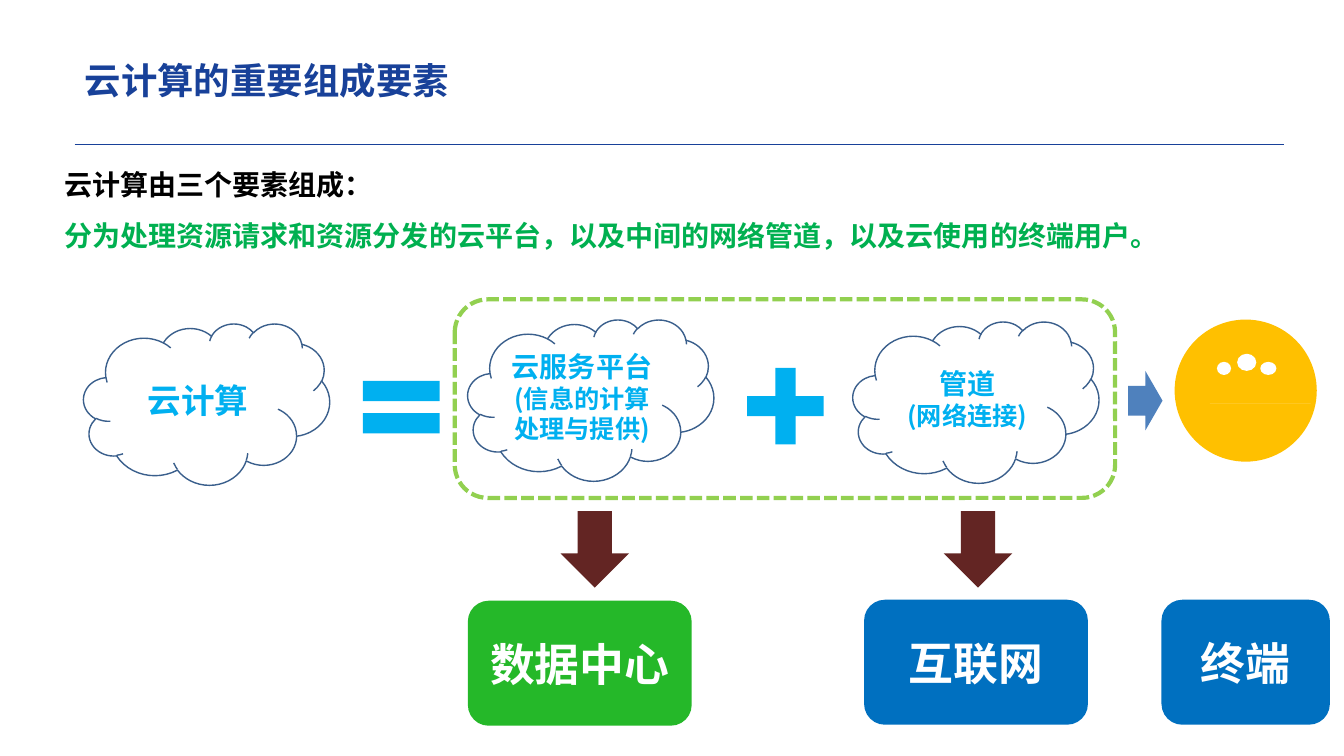
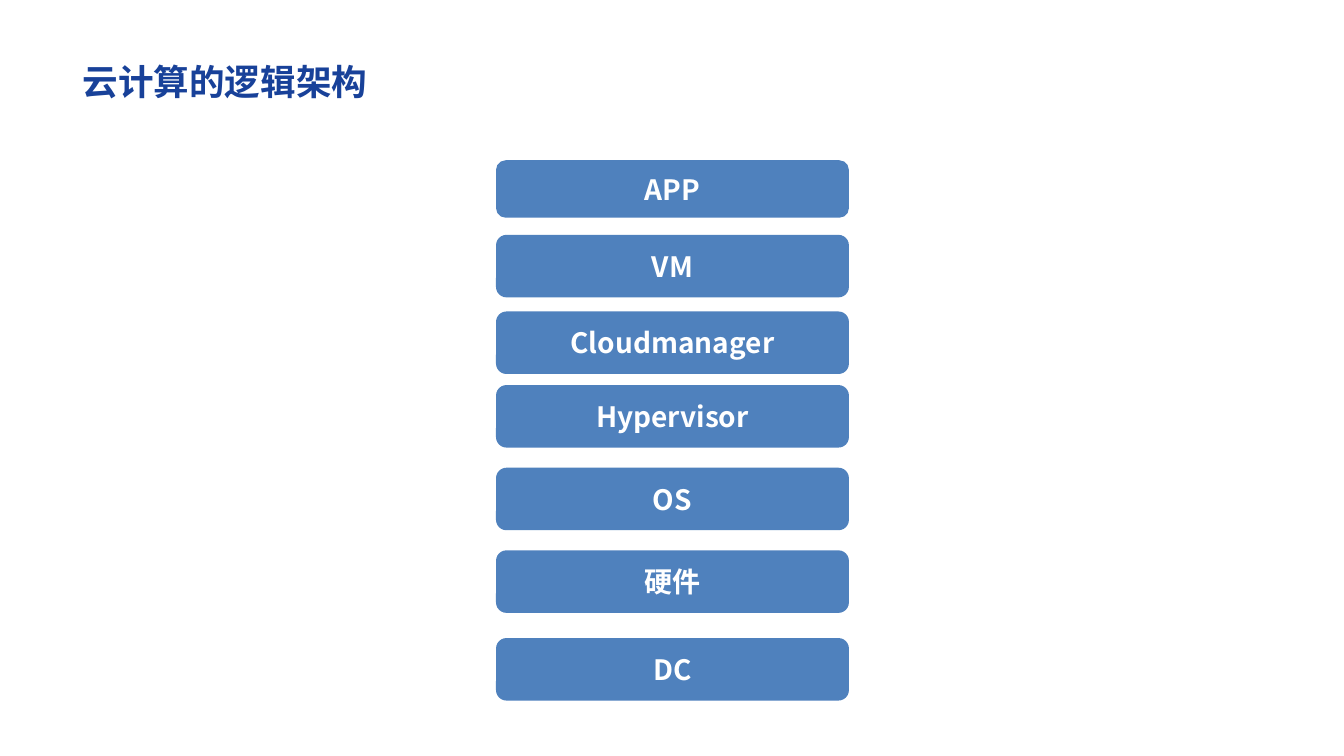
"""Build two slides on the elements and the logical layers of cloud computing."""
from dataclasses import dataclass
from typing import Any, NamedTuple, Optional

import pptx
import pptx.dml.color
import pptx.enum.dml
import pptx.enum.shapes
import pptx.enum.text
import pptx.oxml.ns
import pptx.util
from lxml import etree

Inches = pptx.util.Inches
RGBColor = pptx.dml.color.RGBColor
Kind = pptx.enum.shapes.MSO_SHAPE
Align = pptx.enum.text.PP_ALIGN
Anchor = pptx.enum.text.MSO_ANCHOR
Fit = pptx.enum.text.MSO_AUTO_SIZE

NAVY = RGBColor(0x18, 0x41, 0x99)
WHITE = RGBColor(0xFF, 0xFF, 0xFF)
BLACK = RGBColor(0x00, 0x00, 0x00)
EDGE = RGBColor(0x3A, 0x5F, 0x8C)
SKY = RGBColor(0x00, 0xB0, 0xF0)
MAROON = RGBColor(0x63, 0x25, 0x23)
GREEN = RGBColor(0x25, 0xB8, 0x29)
LEAF = RGBColor(0x00, 0xB0, 0x50)
LIME = RGBColor(0x92, 0xD0, 0x50)
BLUE = RGBColor(0x00, 0x70, 0xC0)
STEEL = RGBColor(0x4F, 0x81, 0xBD)
GOLD = RGBColor(0xFF, 0xC0, 0x00)

FACE = "Noto Sans CJK SC"
FONT = {"name": FACE, "bold": True}
TITLE = {"auto_size": Fit.NONE, "word_wrap": True,
         "vertical_anchor": Anchor.TOP, "margin_top": 0}
INTRO = {"auto_size": Fit.SHAPE_TO_FIT_TEXT, "word_wrap": False}
HEAD = {"alignment": Align.LEFT, "line_spacing": 0.9}
LEAD = {"alignment": Align.LEFT, "line_spacing": 1.5}
MID = {"alignment": Align.CENTER}


class Text(NamedTuple):
    words: str
    size: float
    color: RGBColor = WHITE


class Box(NamedTuple):
    left: float
    top: float
    width: float
    height: float


@dataclass
class Block:
    kind: Any
    box: Box
    fill: Optional[RGBColor] = None
    edge: Optional[RGBColor] = None
    weight: float = 1
    dash: Any = None
    turn: float = 0
    texts: tuple[Text, ...] = ()


def bar(left: float, top: float, turn: float = 0) -> Block:
    return Block(Kind.RECTANGLE, Box(left, top, 0.76, 0.2), SKY, turn=turn)


def cloud(left: float, top: float, *texts: Text) -> Block:
    return Block(Kind.CLOUD, Box(left, top, 2.44, 1.6), WHITE, EDGE,
                 texts=texts)


def down(left: float) -> Block:
    return Block(Kind.DOWN_ARROW, Box(left, 5.07, 0.68, 0.76), MAROON)


def card(words: str, box: Box, fill: RGBColor, size: float) -> Block:
    return Block(Kind.ROUNDED_RECTANGLE, box, fill, texts=(Text(words, size),))


def disc(fill: RGBColor, *box: float) -> Block:
    return Block(Kind.OVAL, Box(*box), fill)


PARTS = [
    cloud(0.83, 3.21, Text("云计算", 24, SKY)),
    bar(3.6, 3.78),
    bar(3.6, 4.1),
    cloud(8.46, 3.19, Text("管道", 20, SKY), Text("(网络连接)", 18, SKY)),
    cloud(4.64, 3.17, Text("云服务平台", 20, SKY),
          Text("(信息的计算处理与提供)", 18, SKY)),
    bar(7.41, 3.93),
    bar(7.41, 3.93, 90),
    down(5.56),
    card("数据中心", Box(4.64, 5.96, 2.22, 1.24), GREEN, 32),
    card("互联网", Box(8.57, 5.95, 2.22, 1.24), BLUE, 32),
    down(9.36),
    Block(Kind.ROUNDED_RECTANGLE, Box(4.51, 2.97, 6.55, 1.97), edge=LIME,
          weight=3, dash=pptx.enum.dml.MSO_LINE.SQUARE_DOT),
    disc(GOLD, 11.65, 3.17, 1.41, 1.41),
    disc(WHITE, 12.27, 3.51, 0.19, 0.17),
    disc(WHITE, 12.5, 3.59, 0.16, 0.13),
    disc(WHITE, 12.07, 3.59, 0.14, 0.13),
    Block(Kind.RIGHT_ARROW, Box(11.19, 3.68, 0.34, 0.59), STEEL),
    card("终端", Box(11.52, 5.95, 1.67, 1.24), BLUE, 32),
]

NOTES = (
    Text("云计算由三个要素组成：", 20, BLACK),
    Text("分为处理资源请求和资源分发的云平台，以及中间的网络管道，"
         "以及云使用的终端用户。", 20, LEAF),
)

CROWD = [
    (12.22, 3.92), (12.22, 3.95), (12.24, 4.18), (12.17, 4.18), (12.15, 3.98),
    (12.12, 3.98), (12.11, 4.18), (12.04, 4.18), (12.05, 3.95), (12.04, 3.85),
    (11.99, 3.93), (11.95, 3.91), (12.04, 3.73), (12.1, 3.73), (12.14, 3.79),
    (12.19, 3.73), (12.23, 3.73), (12.25, 3.7), (12.35, 3.7), (12.34, 3.71),
    (12.35, 3.72), (12.32, 3.86), (12.36, 3.89), (12.39, 3.86), (12.38, 3.72),
    (12.39, 3.71), (12.38, 3.7), (12.48, 3.7), (12.48, 3.73), (12.53, 3.73),
    (12.58, 3.79), (12.63, 3.73), (12.67, 3.73), (12.76, 3.89), (12.72, 3.91),
    (12.67, 3.84), (12.67, 4.18), (12.6, 4.18), (12.59, 3.98), (12.57, 3.98),
    (12.55, 4.18), (12.48, 4.18), (12.49, 3.95), (12.49, 3.93), (12.47, 3.95),
    (12.48, 4.24), (12.39, 4.24), (12.38, 3.99), (12.34, 3.99), (12.33, 4.24),
    (12.24, 4.24), (12.26, 3.95),
]

LAYERS = [
    ("APP", 1.59, 0.57), ("VM", 2.33, 0.62), ("Cloudmanager", 3.09, 0.62),
    ("Hypervisor", 3.82, 0.62), ("OS", 4.64, 0.62), ("硬件", 5.46, 0.62),
    ("DC", 6.33, 0.62),
]


def apply(item: Any, form: dict[str, Any]) -> None:
    for key, value in form.items():
        setattr(item, key, value)


def write(frame: Any, texts: tuple[Text, ...], form: dict[str, Any]) -> None:
    for index, text in enumerate(texts):
        para = frame.add_paragraph() if index else frame.paragraphs[0]
        apply(para, form)
        run = para.add_run()
        run.text = text.words
        apply(run.font, {**FONT, "size": pptx.util.Pt(text.size)})
        run.font.color.rgb = text.color
        props = run._r.get_or_add_rPr()
        etree.SubElement(props, pptx.oxml.ns.qn("a:ea"), typeface=FACE)


def paint(shape: Any, fill: Optional[RGBColor], edge: Optional[RGBColor],
          weight: float = 1) -> None:
    shape.shadow.inherit = False
    if fill is None:
        shape.fill.background()
    else:
        shape.fill.solid()
        shape.fill.fore_color.rgb = fill
    if edge is None:
        shape.line.fill.background()
    else:
        shape.line.color.rgb = edge
        shape.line.width = pptx.util.Pt(weight)


def draw(slide: Any, block: Block) -> None:
    shape = slide.shapes.add_shape(block.kind, *map(Inches, block.box))
    paint(shape, block.fill, block.edge, block.weight)
    shape.rotation = block.turn
    if block.dash is not None:
        shape.line.dash_style = block.dash
    write(shape.text_frame, block.texts, MID)


def start(deck: Any, text: Text, left: float, top: float) -> Any:
    slide = deck.slides.add_slide(deck.slide_layouts[5])
    title = slide.shapes.title
    apply(title, {"left": Inches(left), "top": Inches(top),
                  "width": Inches(5.5), "height": Inches(0.53)})
    apply(title.text_frame, TITLE)
    write(title.text_frame, (text,), HEAD)
    return slide


def rule(slide: Any) -> None:
    line = slide.shapes.add_connector(
        pptx.enum.shapes.MSO_CONNECTOR.STRAIGHT,
        Inches(0.74), Inches(1.43), Inches(12.74), Inches(1.43))
    line.line.color.rgb = NAVY
    line.line.width = pptx.util.Pt(0.5)
    etree.SubElement(line._element.spPr, pptx.oxml.ns.qn("a:effectLst"))


def crowd(slide: Any) -> None:
    pen = slide.shapes.build_freeform(*CROWD[0], scale=Inches(1))
    pen.add_line_segments(CROWD[1:], close=True)
    paint(pen.convert_to_shape(), WHITE, None)


def parts(deck: Any) -> None:
    slide = start(deck, Text("云计算的重要组成要素", 26, NAVY), 0.74, 0.63)
    rule(slide)
    note = slide.shapes.add_textbox(*map(Inches, (0.54, 1.45, 11.14, 1.11)))
    apply(note.text_frame, INTRO)
    write(note.text_frame, NOTES, LEAD)
    for block in PARTS:
        draw(slide, block)
    crowd(slide)


def layers(deck: Any) -> None:
    slide = start(deck, Text("云计算的逻辑架构", 25.4, NAVY), 0.72, 0.64)
    for words, top, height in LAYERS:
        draw(slide, card(words, Box(4.92, top, 3.5, height), STEEL, 20))


def main() -> None:
    deck = pptx.Presentation()
    deck.slide_width = Inches(13.33)
    deck.slide_height = Inches(7.5)
    parts(deck)
    layers(deck)
    deck.save("out.pptx")


if __name__ == "__main__":
    main()
